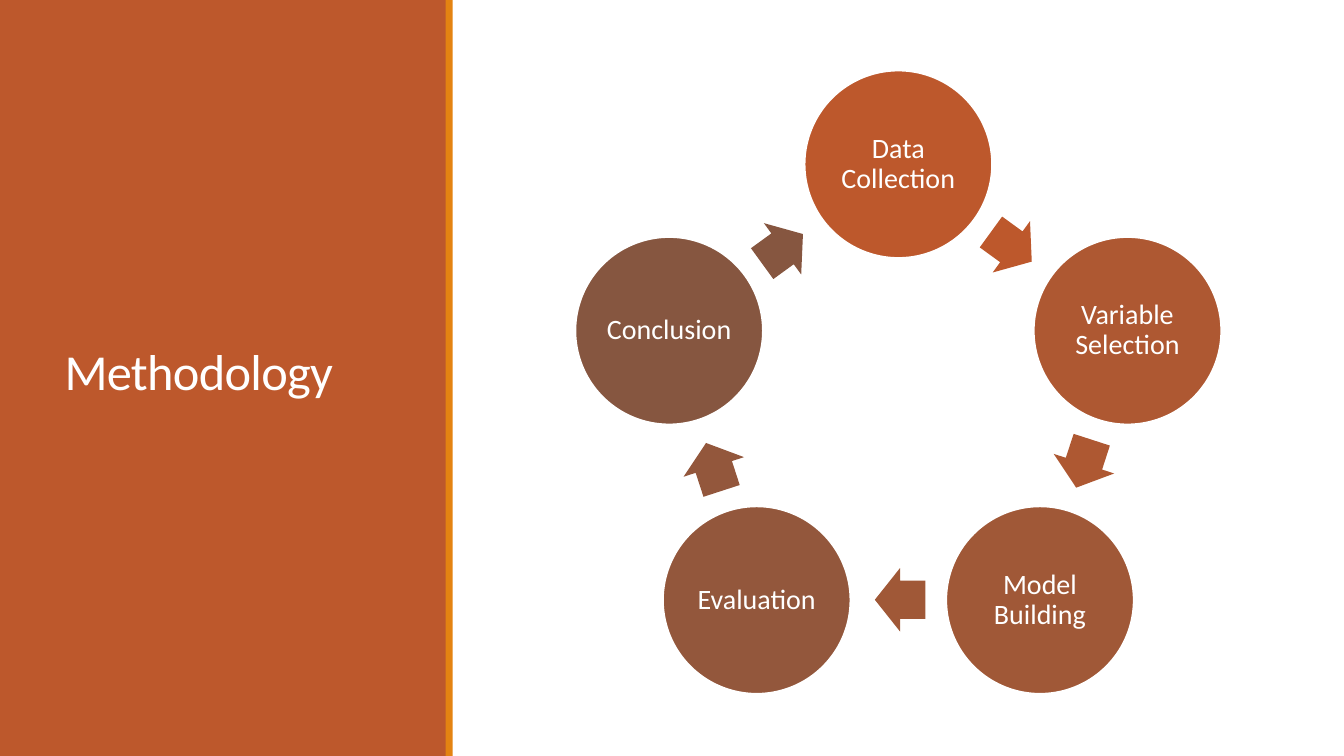
import math
from dataclasses import dataclass

from pptx import Presentation
from pptx import util as u
from pptx.dml import color
from pptx.enum import shapes, text


@dataclass(frozen=True)
class Theme:
    font: str = "Calibri"
    panel: str = "BD582C"
    accent: str = "E48312"
    white: str = "FFFFFF"
    title_size: int = 36
    step_size: int = 20


THEME = Theme()
STEPS = [
    ("Data Collection", "BD582C"),
    ("Variable Selection", "AE5832"),
    ("Model Building", "A05837"),
    ("Evaluation", "93573C"),
    ("Conclusion", "865640"),
]
CENTER_X, CENTER_Y = 8.91, 4.02
STEP_RADIUS, ARROW_RADIUS = 2.39, 1.93
STEP_DIAMETER = 1.87
ARROW_W, ARROW_H = 0.5, 0.63
ARROW_LAG = 0.5


def add_filled(s, kind, x, y, w, h, fill, outline=None):
    sp = s.shapes.add_shape(kind, u.Inches(x), u.Inches(y), u.Inches(w), u.Inches(h))
    sp.shadow.inherit = False
    sp.fill.solid()
    sp.fill.fore_color.rgb = color.RGBColor.from_string(fill)
    if outline:
        sp.line.color.rgb = color.RGBColor.from_string(outline)
        sp.line.width = u.Pt(2)
    else:
        sp.line.fill.background()
    return sp


def write(sp, content, *, size, align, spacing, inset=None, tracking=0):
    tf = sp.text_frame
    tf.word_wrap = True
    tf.auto_size = text.MSO_AUTO_SIZE.NONE
    tf.vertical_anchor = text.MSO_ANCHOR.MIDDLE
    if inset is not None:
        tf.margin_left = tf.margin_right = u.Inches(inset)
        tf.margin_top = tf.margin_bottom = u.Inches(inset)
    p = tf.paragraphs[0]
    p.alignment = align
    p.line_spacing = spacing
    r = p.add_run()
    r.text = content
    r.font.name = THEME.font
    r.font.size = u.Pt(size)
    r.font.color.rgb = color.RGBColor.from_string(THEME.white)
    if tracking:
        r.font._element.set("spc", str(int(tracking * 100)))


def on_ring(radius, degrees, w, h):
    a = math.radians(degrees)
    x = CENTER_X + radius * math.sin(a) - w / 2
    y = CENTER_Y - radius * math.cos(a) - h / 2
    return x, y, w, h


def add_title_panel(s, content):
    panel = add_filled(s, shapes.MSO_SHAPE.RECTANGLE, 0, 0, 4.43, 7.5, THEME.panel)
    add_filled(s, shapes.MSO_SHAPE.RECTANGLE, 4.42, 0, 0.07, 7.5, THEME.accent)
    title = s.shapes.title
    title.left, title.top = u.Inches(0.54), u.Inches(0.57)
    title.width, title.height = u.Inches(3.37), u.Inches(6.31)
    write(title, content, size=THEME.title_size, align=text.PP_ALIGN.LEFT,
          spacing=0.85, tracking=-0.5)
    panel.element.addnext(title.element)


def add_step(s, label, fill, degrees):
    box = on_ring(STEP_RADIUS, degrees, STEP_DIAMETER, STEP_DIAMETER)
    sp = add_filled(s, shapes.MSO_SHAPE.OVAL, *box, fill, outline=THEME.white)
    write(sp, label, size=THEME.step_size, align=text.PP_ALIGN.CENTER,
          spacing=0.9, inset=0.03)


def add_arrow(s, fill, degrees):
    box = on_ring(ARROW_RADIUS, degrees - ARROW_LAG, ARROW_W, ARROW_H)
    sp = add_filled(s, shapes.MSO_SHAPE.RIGHT_ARROW, *box, fill)
    sp.adjustments[0] = 0.6
    sp.adjustments[1] = 0.5
    sp.rotation = degrees


def add_cycle(s, steps):
    turn = 360 / len(steps)
    for i, (label, fill) in enumerate(steps):
        add_step(s, label, fill, i * turn)
        add_arrow(s, fill, (i + 0.5) * turn)


def main():
    prs = Presentation()
    prs.slide_width, prs.slide_height = u.Inches(13.33), u.Inches(7.5)
    s = prs.slides.add_slide(prs.slide_layouts.get_by_name("Title Only"))
    add_title_panel(s, "Methodology")
    add_cycle(s, STEPS)
    prs.save("out.pptx")


if __name__ == "__main__":
    main()
